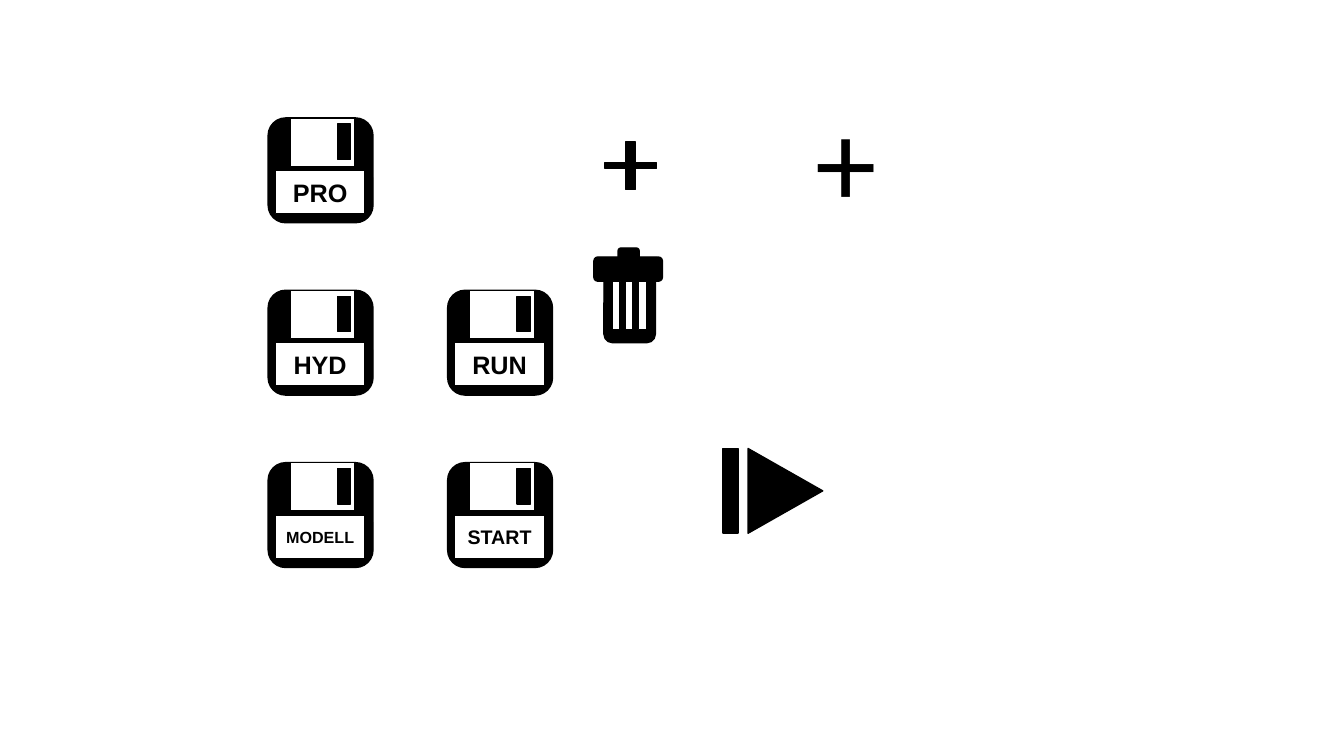
from pptx import Presentation
from pptx.dml.color import RGBColor
from pptx.enum import shapes, text
from pptx.util import Inches, Pt

BLACK, WHITE = "000000", "FFFFFF"
SHAPE = shapes.MSO_SHAPE


def color(value):
    """Return the colour of a hex string."""
    return RGBColor.from_string(value)


def add_part(slide, kind, left, top, width, height, fill=BLACK):
    """Add a filled shape with a thin black outline."""
    sp = slide.shapes.add_shape(kind, *map(Inches, (left, top, width, height)))
    sp.shadow.inherit = False
    sp.fill.solid()
    sp.fill.fore_color.rgb = color(fill)
    sp.line.color.rgb = color(BLACK)
    sp.line.width = Pt(1)
    return sp


def add_disk(slide, left, top, label, size):
    """Draw a labelled save icon from its top left corner."""
    add_part(slide, SHAPE.ROUNDED_RECTANGLE, left, top, 1.04, 1.04)
    sp = add_part(slide, SHAPE.RECTANGLE, left + 0.07, top + 0.52, 0.89, 0.43, WHITE)
    tf = sp.text_frame
    tf.word_wrap = False
    tf.vertical_anchor = text.MSO_ANCHOR.MIDDLE
    p = tf.paragraphs[0]
    p.text = label
    p.alignment = text.PP_ALIGN.CENTER
    p.font.name = "Arial"
    p.font.size = Pt(size)
    p.font.bold = True
    p.font.color.rgb = color(BLACK)
    add_part(slide, SHAPE.RECTANGLE, left + 0.22, top, 0.64, 0.48, WHITE)
    add_part(slide, SHAPE.RECTANGLE, left + 0.69, top + 0.06, 0.13, 0.35)


def add_bin(slide, left, top):
    """Draw a waste bin icon from its top left corner."""
    add_part(slide, SHAPE.ROUNDED_RECTANGLE, left + 0.1, top + 0.21, 0.51, 0.73)
    add_part(slide, SHAPE.ROUNDED_RECTANGLE, left, top + 0.09, 0.68, 0.24)
    add_part(slide, SHAPE.ROUNDED_RECTANGLE, left + 0.24, top, 0.21, 0.18)
    for i in range(3):
        add_part(slide, SHAPE.RECTANGLE, left + 0.18 + i * 0.13, top + 0.33, 0.08, 0.48, WHITE)


def add_play(slide, left, top):
    """Draw a step forward icon from its top left corner."""
    sp = add_part(slide, SHAPE.ISOSCELES_TRIANGLE, left + 0.2, top + 0.05, 0.84, 0.74)
    sp.rotation = 90
    add_part(slide, SHAPE.RECTANGLE, left, top, 0.15, 0.84)


def add_plus_shape(slide, left, top):
    """Draw a thin plus shape."""
    sp = add_part(slide, SHAPE.CROSS, left, top, 0.51, 0.47)
    sp.adjustments[0] = 0.436


def add_plus_text(slide, left, top):
    """Write a large plus sign."""
    sp = slide.shapes.add_textbox(*map(Inches, (left, top, 0.82, 1.58)))
    tf = sp.text_frame
    tf.word_wrap = False
    tf.auto_size = text.MSO_AUTO_SIZE.SHAPE_TO_FIT_TEXT
    p = tf.paragraphs[0]
    p.text = "+"
    p.font.name = "Calibri"
    p.font.size = Pt(88)
    p.font.color.rgb = color(BLACK)


def main():
    """Build the icon slide and save it."""
    prs = Presentation()
    prs.slide_width, prs.slide_height = Inches(13.33), Inches(7.5)
    slide = prs.slides.add_slide(prs.slide_layouts[6])
    disks = [
        (0, 0, "PRO", 18),
        (0, 1, "HYD", 18),
        (0, 2, "MODELL", 11.5),
        (1, 2, "START", 14),
        (1, 1, "RUN", 18),
    ]
    for col, row, label, size in disks:
        add_disk(slide, 2.66 + col * 1.78, 1.17 + row * 1.71, label, size)
    add_plus_shape(slide, 6, 1.41)
    add_bin(slide, 5.89, 2.46)
    add_plus_text(slide, 7.99, 0.79)
    add_play(slide, 7.17, 4.45)
    prs.save("out.pptx")


if __name__ == "__main__":
    main()
